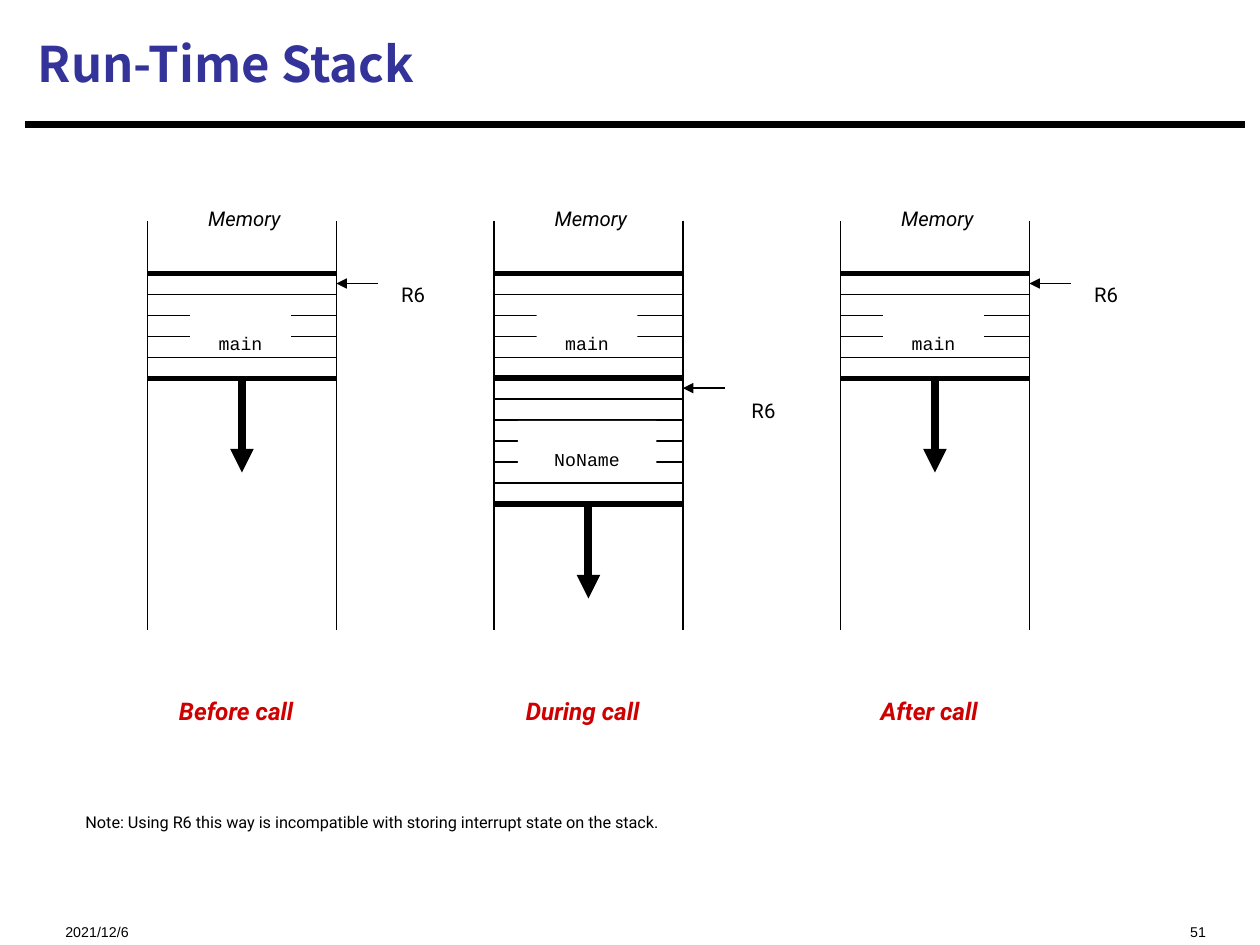
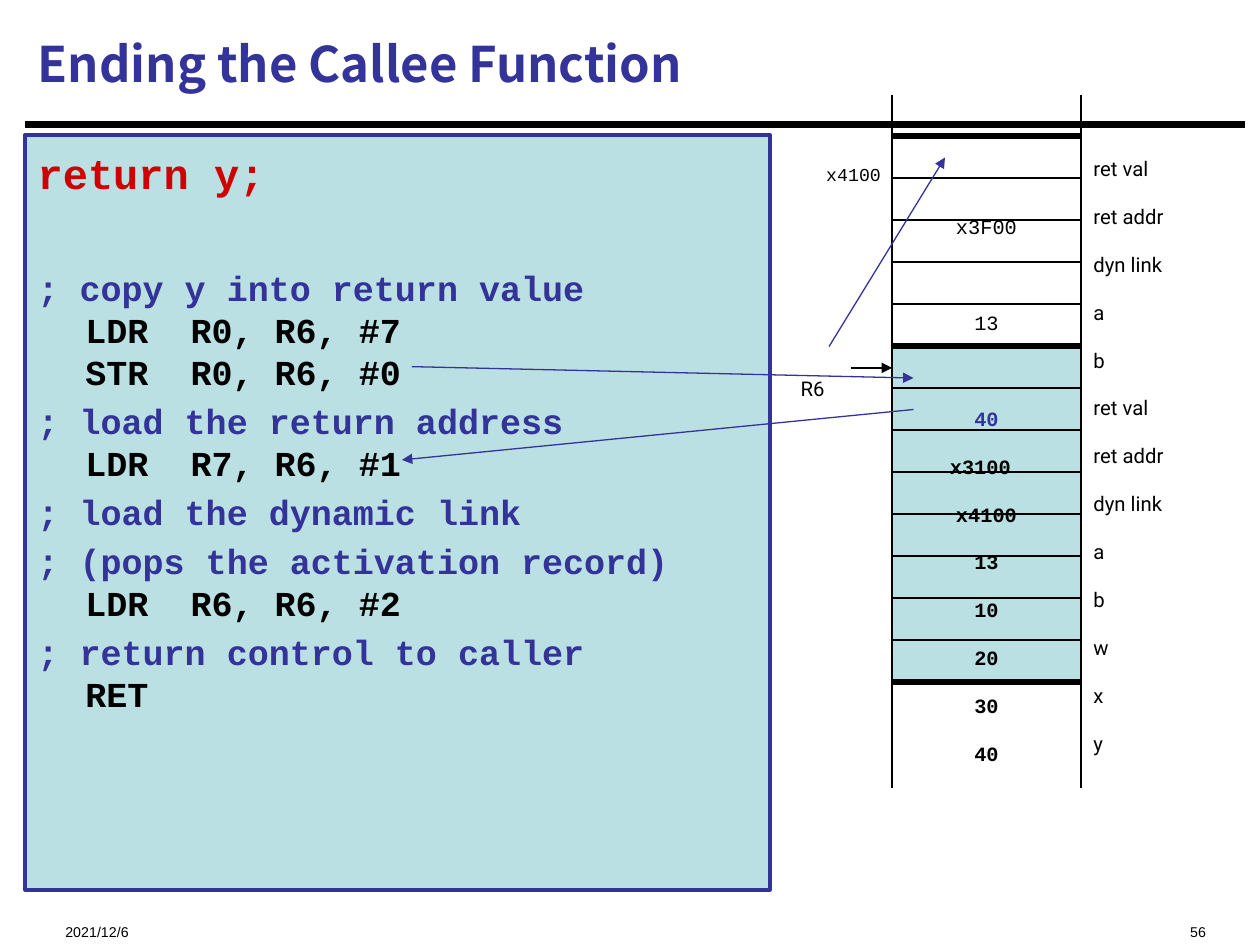
from lxml.etree import SubElement
from pptx import Presentation
from pptx.dml.color import RGBColor
from pptx.enum.shapes import MSO_CONNECTOR as Connector, MSO_SHAPE as Shape
from pptx.enum.text import MSO_ANCHOR as Anchor, PP_ALIGN as Align
from pptx.oxml.ns import qn
from pptx.util import Inches, Pt

BLACK, WHITE, BLUE, RED, TEAL = "000000", "FFFFFF", "333399", "CE0000", "BBE0E3"
SANS, MONO, FOOTER_FONT, TITLE_FONT = "Roboto", "Courier New", "Arial", "Noto Sans CJK SC"
THIN, THICK = 0.75, 3
LOWERED = "-30000"      # baseline shift of all labels outside title and code
LABEL_PITCH = 1.37      # line height of lowered text, in multiples of its size
COLUMN_WIDTH = 1.5


def rgb(hex_code):
    return RGBColor.from_string(hex_code)


def format_font(font, color=BLACK, **values):
    for name, value in values.items():
        setattr(font, name, value)
    font.color.rgb = rgb(color)


def add_run(paragraph, text, size, name, color=BLACK, **values):
    run = paragraph.add_run()
    run.text = text
    format_font(run.font, color, size=Pt(size), name=name, **values)
    return run


def add_label_text(paragraph, text, size, name, align, color=BLACK, **values):
    """Fill one paragraph with lowered text."""
    run = add_run(paragraph, text, size, name, color, **values)
    run._r.get_or_add_rPr().set("baseline", LOWERED)
    paragraph.alignment = align
    paragraph.line_spacing = Pt(LABEL_PITCH * size)


def add_label(slide, box, text, size=20, name=SANS, align=Align.CENTER, **values):
    shape = slide.shapes.add_textbox(*map(Inches, box))
    frame = shape.text_frame
    frame.word_wrap = True
    add_label_text(frame.paragraphs[0], text, size, name, align, **values)
    return shape


def add_line(slide, start, end, width=THIN, color=BLACK, arrow=False):
    line = slide.shapes.add_connector(
        Connector.STRAIGHT, *map(Inches, (*start, *end)))
    line.line.width = Pt(width)
    line.line.color.rgb = rgb(color)
    properties = line._element.spPr
    if arrow:
        SubElement(properties.find(qn("a:ln")), qn("a:tailEnd"), type="triangle")
    SubElement(properties, qn("a:effectLst"))
    return line


def add_box(slide, box, fill, line=BLACK, width=THIN):
    shape = slide.shapes.add_shape(Shape.RECTANGLE, *map(Inches, box))
    shape.shadow.inherit = False
    shape.fill.solid()
    shape.fill.fore_color.rgb = rgb(fill)
    shape.line.color.rgb = rgb(line)
    shape.line.width = Pt(width)
    return shape


def add_walls(slide, left, top, bottom):
    for x in (left, left + COLUMN_WIDTH):
        add_line(slide, (x, top), (x, bottom))


def add_rows(slide, left, top, pitch, count, thick_rows):
    for row in range(count + 1):
        y = top + row * pitch
        add_line(slide, (left, y), (left + COLUMN_WIDTH, y),
                 THICK if row in thick_rows else THIN)


def new_slide(presentation, title, number):
    """Start a slide with the shared rule, title, date and number."""
    slide = presentation.slides.add_slide(presentation.slide_layouts[5])
    placeholder = slide.shapes.title
    place = {"left": 0.2, "top": 0.08, "width": 9.67, "height": 0.84}
    for name, value in place.items():
        setattr(placeholder, name, Inches(value))
    frame = placeholder.text_frame
    frame.vertical_anchor = Anchor.MIDDLE
    paragraph = frame.paragraphs[0]
    paragraph.alignment = Align.LEFT
    add_run(paragraph, title, 28, TITLE_FONT, BLUE, bold=True)
    add_line(slide, (0.2, 0.99), (9.88, 0.99), 3.75)
    add_label(slide, (0.42, 7.15, 2.5, 0.27), "2021/12/6", 14, FOOTER_FONT, Align.LEFT)
    add_label(slide, (6.67, 7.15, 3, 0.27), number, 14, FOOTER_FONT, Align.RIGHT)
    return slide


# Slide 1: the stack before, during and after a call

def add_frame(slide, left, top, rows, name, name_top, name_width):
    """Draw one activation record with its name over the middle rows."""
    add_rows(slide, left, top, 1 / 6, rows, {0, rows})
    middle = left + COLUMN_WIDTH / 2
    box = (middle - name_width / 2 - 0.01, name_top, name_width, 0.4)
    label = add_label(slide, box, name, 18, MONO)
    label.fill.solid()
    label.fill.fore_color.rgb = rgb(WHITE)


def add_memory(slide, left, caption, during=False):
    middle = left + COLUMN_WIDTH / 2
    right = left + COLUMN_WIDTH
    add_walls(slide, left, 1.75, 5)
    add_label(slide, (middle - 0.58, 1.4, 1.2, 0.43), "Memory", italic=True)
    add_frame(slide, left, 2.17, 5, "main", 2.42, 0.8)
    if during:
        add_frame(slide, left, 3, 6, "NoName", 3.34, 1.1)
    stack_end, pointer = (4, 3.08) if during else (3, 2.25)
    add_line(slide, (middle, stack_end), (middle, stack_end + 0.75), 4.5, arrow=True)
    add_line(slide, (right + 0.33, pointer), (right, pointer), arrow=True)
    label_left, label_top = (right + 0.36, 2.92) if during else (right + 0.33, 2)
    add_label(slide, (label_left, label_top, 0.56, 0.43), "R6")
    add_label(slide, (middle - 0.91, 5.25, 1.73, 0.5), caption, 24,
              color=RED, bold=True, italic=True)


def build_run_time_stack(presentation):
    slide = new_slide(presentation, "Run-Time Stack", "51")
    for index, caption in enumerate(("Before call", "During call", "After call")):
        add_memory(slide, 1.17 + 2.75 * index, caption, during=index == 1)
    add_label(slide, (0.58, 6.25, 8.59, 0.37),
              "Note: Using R6 this way is incompatible with storing "
              "interrupt state on the stack.", 16, align=Align.LEFT)


# Slide 2: code of the return and the stack it works on

CODE = [
    ("; copy y into return value", "LDR  R0, R6, #7", "STR  R0, R6, #0"),
    ("; load the return address", "LDR  R7, R6, #1"),
    ("; load the dynamic link",),
    ("; (pops the activation record)", "LDR  R6, R6, #2"),
    ("; return control to caller", "RET"),
]
NAMES = ["ret val", "ret addr", "dyn link", "a", "b",
         "ret val", "ret addr", "dyn link", "a", "b", "w", "x", "y"]
# Row of the column, counted from its top, and the value in it
VALUES = {1: "x3F00", 3: "13", 5: "40", 6: "x3100 ", 7: "x4100", 8: "13",
          9: "10", 10: "20", 11: "30", 12: "40"}


def format_code(paragraph, size, space_before):
    indents = paragraph._p.get_or_add_pPr()
    indents.set("marL", str(Inches(0.38)))
    indents.set("indent", str(-Inches(0.38)))
    paragraph.alignment = Align.LEFT
    paragraph.line_spacing = Pt(1.2 * size)
    if space_before:
        paragraph.space_before = Pt(space_before)


def add_code(slide):
    frame = add_box(slide, (0.2, 1.07, 5.91, 5.99), TEAL, BLUE, 2.25).text_frame
    frame.word_wrap = True
    frame.vertical_anchor = Anchor.TOP
    frame.margin_top = Inches(0.1)
    statement = frame.paragraphs[0]
    format_code(statement, 24, 0)
    add_run(statement, "return y;", 24, MONO, RED, bold=True)
    for index, (comment, *instructions) in enumerate(CODE):
        paragraph = frame.add_paragraph()
        format_code(paragraph, 20, 4 if index else 39)
        add_run(paragraph, comment, 20, MONO, BLUE, bold=True)
        for instruction in instructions:
            paragraph.add_line_break()
            add_run(paragraph, instruction, 20, MONO, bold=True)


def add_names(slide, left):
    frame = slide.shapes.add_textbox(
        *map(Inches, (left, 1, 1.16, 4.43))).text_frame
    frame.word_wrap = True
    for index, name in enumerate(NAMES):
        paragraph = frame.add_paragraph() if index else frame.paragraphs[0]
        add_label_text(paragraph, name, 20, SANS, Align.LEFT)


def add_values(slide, left):
    pitch = LABEL_PITCH * 20
    previous = min(VALUES)
    top = 1.08 + previous * pitch / 72
    frame = slide.shapes.add_textbox(
        *map(Inches, (left, top, COLUMN_WIDTH, 4.43))).text_frame
    frame.word_wrap = True
    for row, value in VALUES.items():
        first = row == previous
        paragraph = frame.paragraphs[0] if first else frame.add_paragraph()
        add_label_text(paragraph, value, 20, MONO, Align.CENTER,
                       color=BLUE if row == 5 else BLACK, bold=row >= 5)
        empty_rows = row - previous - 1
        if empty_rows > 0:
            paragraph.space_before = Pt(empty_rows * pitch)
        previous = row


def build_callee_end(presentation):
    slide = new_slide(presentation, "Ending the Callee Function", "56")
    left = 7.08
    right = left + COLUMN_WIDTH
    add_box(slide, (left, 2.75, COLUMN_WIDTH, 2.67), TEAL)
    add_code(slide)

    # Stack column with its names and values
    add_rows(slide, left, 1.08, 1 / 3, 13, {0, 5, 13})
    add_names(slide, right)
    add_values(slide, left)
    add_label(slide, (6.14, 1.08, 0.95, 0.4), "x4100", 18, MONO, Align.RIGHT)
    add_label(slide, (6.17, 2.75, 0.56, 0.43), "R6")
    add_line(slide, (6.75, 2.92), (left, 2.92), arrow=True)
    add_walls(slide, left, 0.75, 6.25)

    # Arrows between code and stack
    for start, end in (((3.27, 2.91), (7.25, 3)),
                       ((7.25, 3.25), (3.19, 3.65)),
                       ((6.58, 2.75), (7.5, 1.25))):
        add_line(slide, start, end, color=BLUE, arrow=True)


def main():
    presentation = Presentation()
    presentation.slide_width = Inches(10)
    presentation.slide_height = Inches(7.5)
    build_run_time_stack(presentation)
    build_callee_end(presentation)
    presentation.save("out.pptx")


if __name__ == "__main__":
    main()
